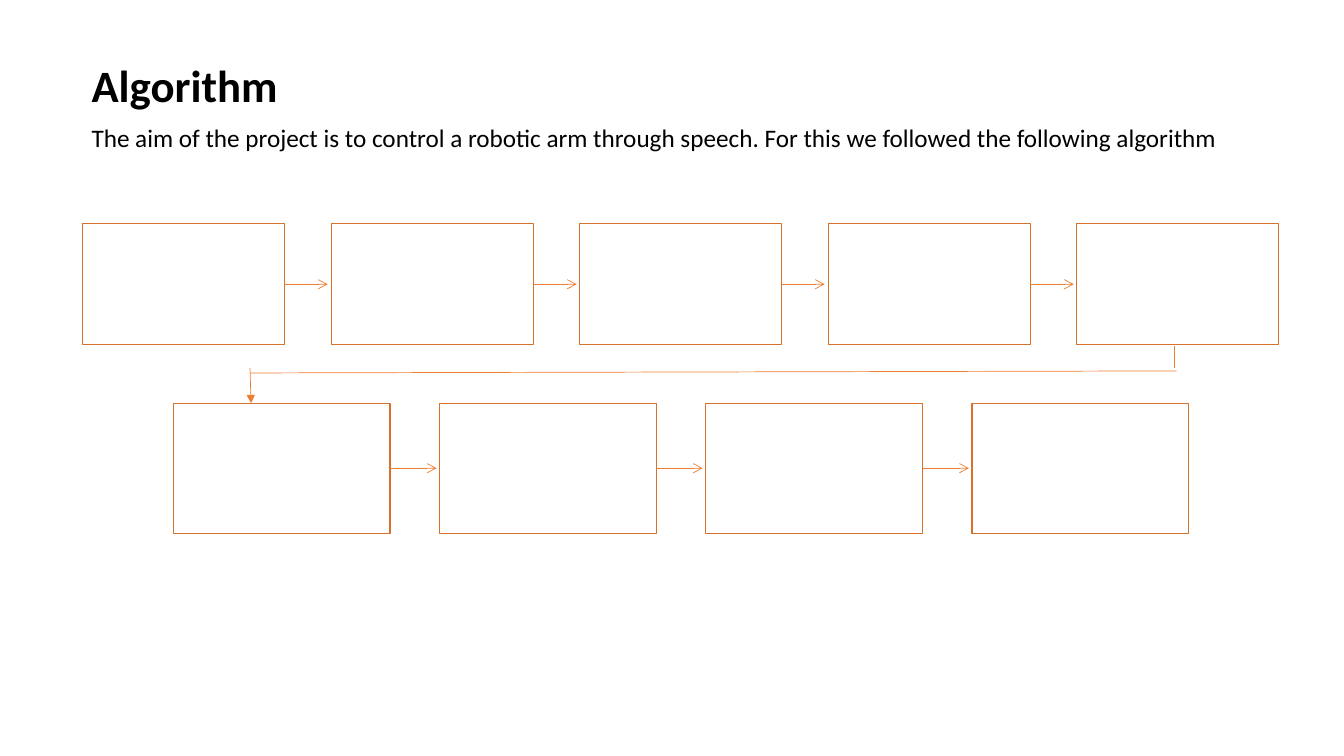
import math
from dataclasses import dataclass

import pptx
import pptx.dml.color
import pptx.enum.shapes
import pptx.enum.text
import pptx.oxml.ns
import pptx.util
from lxml import etree

PX = 9144
FONT = "Calibri"
COLORS = {"text": "000000", "box": "FFFFFF", "border": "D7712C", "arrow": "ED7D31"}


@dataclass
class Label:
    text: str
    x: int
    y: int
    w: int
    h: int
    size: int
    bold: bool = False


@dataclass
class Row:
    count: int
    first_x: int
    last_x: int
    y: int
    w: int
    h: int
    arrow: int


@dataclass
class Line:
    x1: int
    y1: int
    x2: int
    y2: int
    head: str = ""


LABELS = [
    Label("Algorithm", 81, 52, 1148, 64, 32, True),
    Label("The aim of the project is to control a robotic arm through speech. "
          "For this we followed the following algorithm", 81, 116, 1216, 40, 18),
]
ROWS = [
    Row(5, 82, 1068, 222, 200, 120, 43),
    Row(4, 172, 964, 400, 215, 129, 46),
]
RETURN_LINES = [
    Line(1165, 343, 1165, 365),
    Line(1167, 368, 249, 370),
    Line(248, 365, 249, 400, "triangle"),
]


def px(n: int) -> pptx.util.Emu:
    return pptx.util.Emu(n * PX)


def color(name: str) -> pptx.dml.color.RGBColor:
    return pptx.dml.color.RGBColor.from_string(COLORS[name])


def add_label(s, label: Label) -> None:
    sp = s.shapes.add_textbox(px(label.x), px(label.y), px(label.w), px(label.h))
    tf = sp.text_frame
    tf.word_wrap = True
    tf.auto_size = pptx.enum.text.MSO_AUTO_SIZE.SHAPE_TO_FIT_TEXT
    p = tf.paragraphs[0]
    p.text = label.text
    p.font.name = FONT
    p.font.size = pptx.util.Pt(label.size)
    p.font.bold = label.bold
    p.font.color.rgb = color("text")


def add_line(s, line: Line):
    cxn = s.shapes.add_connector(
        pptx.enum.shapes.MSO_CONNECTOR.STRAIGHT,
        px(line.x1), px(line.y1), px(line.x2), px(line.y2))
    cxn.line.color.rgb = color("arrow")
    cxn.line.width = pptx.util.Pt(0.5)
    qn = pptx.oxml.ns.qn
    if line.head:
        etree.SubElement(cxn.line._get_or_add_ln(), qn("a:tailEnd"), type=line.head)
    etree.SubElement(cxn._element.spPr, qn("a:effectLst"))
    return cxn


def add_box(s, x: int, row: Row):
    sp = s.shapes.add_shape(pptx.enum.shapes.MSO_SHAPE.RECTANGLE,
                            px(x), px(row.y), px(row.w), px(row.h))
    sp.shadow.inherit = False
    sp.fill.solid()
    sp.fill.fore_color.rgb = color("box")
    sp.line.color.rgb = color("border")
    sp.line.width = pptx.util.Pt(1)
    return sp


def add_row(s, row: Row) -> None:
    pitch = (row.last_x - row.first_x) / (row.count - 1)
    middle = row.y + row.h // 2
    for i in range(row.count):
        x = row.first_x + math.ceil(i * pitch)
        box = add_box(s, x, row)
        if i < row.count - 1:
            right = x + row.w
            arrow = add_line(s, Line(right, middle, right + row.arrow, middle, "arrow"))
            arrow.begin_connect(box, 3)
            arrow.end_y = arrow.begin_y


def main() -> None:
    prs = pptx.Presentation()
    prs.slide_width, prs.slide_height = px(1333), px(750)
    s = prs.slides.add_slide(prs.slide_layouts[6])
    for label in LABELS:
        add_label(s, label)
    for row in ROWS:
        add_row(s, row)
    for line in RETURN_LINES:
        add_line(s, line)
    prs.save("out.pptx")


if __name__ == "__main__":
    main()
